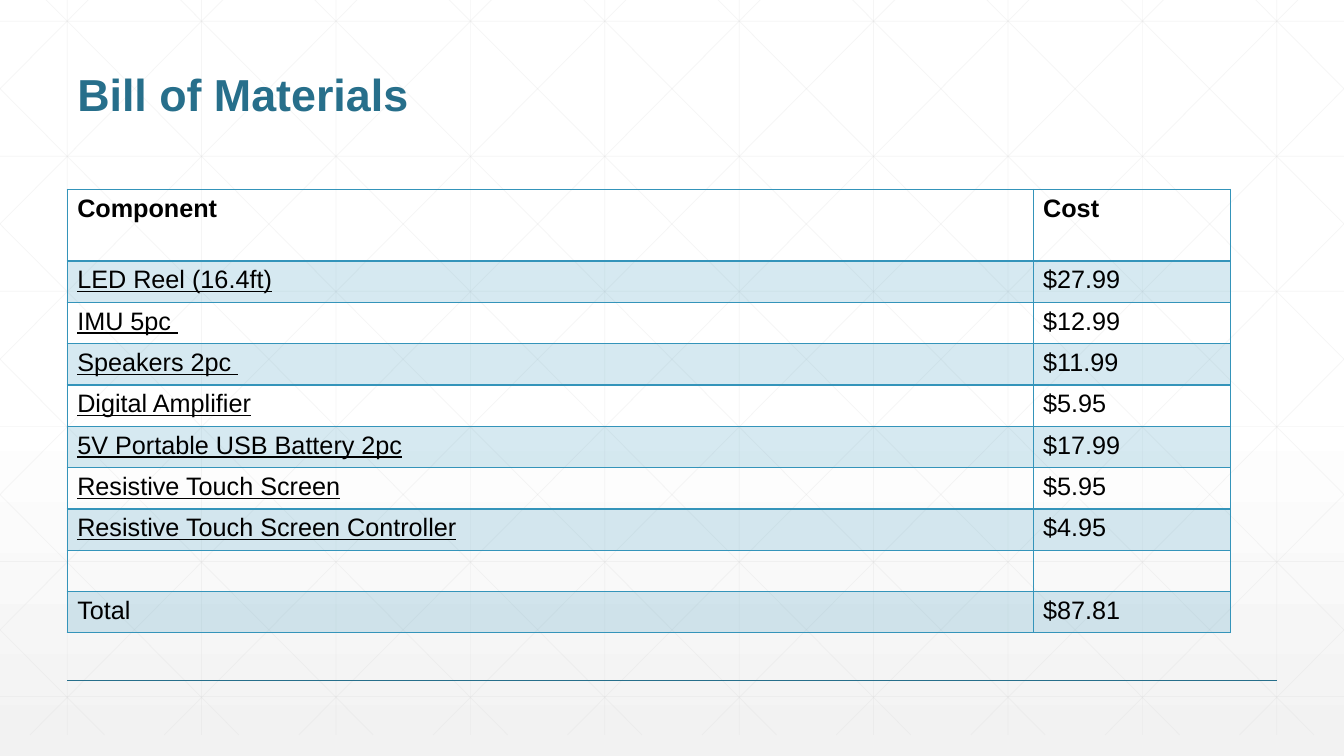
from typing import NamedTuple

from lxml import etree
from pptx import Presentation
from pptx.dml.color import RGBColor
from pptx.enum.shapes import MSO_CONNECTOR
from pptx.enum.text import MSO_ANCHOR, PP_ALIGN
from pptx.oxml.ns import qn
from pptx.util import Inches, Pt

STRAIGHT = MSO_CONNECTOR.STRAIGHT
BOTTOM = MSO_ANCHOR.BOTTOM
LEFT = PP_ALIGN.LEFT

WIDTH, HEIGHT = 13.33, 7.5
COLUMN = WIDTH / 20  # margins are one column wide
PITCH = 2 * COLUMN
ROW_PITCH = 1.34
GRID_TOP, GRID_BOTTOM = -0.21, 7.29
DIAGONAL_START, DIAGONAL_RUN = 0.25, 7.45

FONT = "Arial"
WHITE, PALE_GRAY, GRID_GRAY = "FFFFFF", "F2F2F2", "D9D9D9"
BLACK, DARK_BLUE, BLUE = "000000", "276F8B", "3494BA"
BAND_OPACITY, GRID_OPACITY = 20, 25

TABLE_TOP = 1.88
COLUMN_WIDTHS = (9.58, 1.96)
HEADER_HEIGHT, ROW_HEIGHT = 0.71, 0.41


class Item(NamedTuple):
    component: str
    cost: str
    underlined: bool = False
    header: bool = False


class Segment(NamedTuple):
    x1: float
    y1: float
    x2: float
    y2: float


ITEMS = [
    Item("Component", "Cost", header=True),
    Item("LED Reel (16.4ft)", "$27.99", underlined=True),
    Item("IMU 5pc ", "$12.99", underlined=True),
    Item("Speakers 2pc ", "$11.99", underlined=True),
    Item("Digital Amplifier", "$5.95", underlined=True),
    Item("5V Portable USB Battery 2pc", "$17.99", underlined=True),
    Item("Resistive Touch Screen", "$5.95", underlined=True),
    Item("Resistive Touch Screen Controller", "$4.95", underlined=True),
    Item("", ""),
    Item("Total", "$87.81"),
]


def color(hex_value: str) -> RGBColor:
    return RGBColor.from_string(hex_value)


def set_opacity(properties, percent: int) -> None:
    """Make the first solid colour found below the element translucent."""
    solid = next(properties.iter(qn("a:srgbClr")))
    etree.SubElement(solid, qn("a:alpha"), val=str(percent * 1000))


def add_line(shapes, segment: Segment, hex_value: str, width: float):
    line = shapes.add_connector(STRAIGHT, *(Inches(value) for value in segment))
    line.line.color.rgb = color(hex_value)
    line.line.width = Pt(width)
    etree.SubElement(line.element.spPr, qn("a:effectLst"))
    return line


def diagonal(start: float) -> Segment:
    """Falling grid line, cut off at the slide's left and right edges."""
    slope = (GRID_BOTTOM - GRID_TOP) / DIAGONAL_RUN
    left, right = max(start, 0), min(start + DIAGONAL_RUN, WIDTH)
    return Segment(left, GRID_TOP + (left - start) * slope,
                   right, GRID_TOP + (right - start) * slope)


def grid_segments() -> list[Segment]:
    verticals = [Segment(x, GRID_TOP, x, GRID_BOTTOM)
                 for x in (COLUMN + PITCH * step for step in range(10))]
    horizontals = [Segment(0, y, WIDTH, y)
                   for y in (0.21 + ROW_PITCH * step for step in range(6))]
    falling = [diagonal(DIAGONAL_START + PITCH * step) for step in range(-5, 10)]
    rising = [Segment(WIDTH - x1, y1, WIDTH - x2, y2) for x1, y1, x2, y2 in falling]
    return verticals + horizontals + falling + rising


def add_background(slide) -> None:
    fill = slide.background.fill
    fill.gradient()
    fill.gradient_angle = 270
    for stop, position, hex_value in zip(fill.gradient_stops, (0.53, 1), (WHITE, PALE_GRAY)):
        stop.position = position
        stop.color.rgb = color(hex_value)
    grid = slide.shapes.add_group_shape()
    for segment in grid_segments():
        line = add_line(grid.shapes, segment, GRID_GRAY, 0.5)
        set_opacity(line.element.spPr, GRID_OPACITY)


def set_font(paragraph, size: float, hex_value: str, bold: bool) -> None:
    paragraph.font.name = FONT
    paragraph.font.size = Pt(size)
    paragraph.font.bold = bold
    paragraph.font.color.rgb = color(hex_value)


def add_title(slide, text: str) -> None:
    title = slide.shapes.title
    title.left, title.top = Inches(COLUMN), Inches(0.25)
    title.width, title.height = Inches(18 * COLUMN), Inches(1)
    title.text_frame.text = text
    title.text_frame.vertical_anchor = BOTTOM
    paragraph = title.text_frame.paragraphs[0]
    paragraph.alignment = LEFT
    paragraph.line_spacing = 0.9
    set_font(paragraph, 32, DARK_BLUE, True)
    title.element.getparent().append(title.element)  # in front of the grid


def set_borders(cell, bottom_width: float) -> None:
    properties = cell._tc.get_or_add_tcPr()
    widths = {"a:lnL": 1, "a:lnR": 1, "a:lnT": 1, "a:lnB": bottom_width}
    for index, (tag, width) in enumerate(widths.items()):
        border = etree.Element(qn(tag), w=str(Pt(width)))
        solid = etree.SubElement(border, qn("a:solidFill"))
        etree.SubElement(solid, qn("a:srgbClr"), val=BLUE)
        properties.insert(index, border)


def format_cell(cell, text: str, item: Item, banded: bool) -> None:
    cell.text = text
    paragraph = cell.text_frame.paragraphs[0]
    set_font(paragraph, 18, BLACK, item.header)
    if banded:
        cell.fill.solid()
        cell.fill.fore_color.rgb = color(BLUE)
        set_opacity(cell._tc.tcPr, BAND_OPACITY)
    else:
        cell.fill.background()
    set_borders(cell, 2 if item.header else 1)


def add_cost_table(slide) -> None:
    heights = [HEADER_HEIGHT if item.header else ROW_HEIGHT for item in ITEMS]
    table = slide.shapes.add_table(
        len(ITEMS), len(COLUMN_WIDTHS), Inches(COLUMN), Inches(TABLE_TOP),
        Inches(sum(COLUMN_WIDTHS)), Inches(sum(heights))).table
    table.first_row = table.horz_banding = False
    for column, width in zip(table.columns, COLUMN_WIDTHS):
        column.width = Inches(width)
    for index, (item, height) in enumerate(zip(ITEMS, heights)):
        table.rows[index].height = Inches(height)
        component, cost = table.rows[index].cells
        format_cell(component, item.component, item, index % 2 == 1)
        format_cell(cost, item.cost, item, index % 2 == 1)
        component.text_frame.paragraphs[0].font.underline = item.underlined


def main() -> None:
    presentation = Presentation()
    presentation.slide_width = Inches(WIDTH)
    presentation.slide_height = Inches(HEIGHT)
    title_only = presentation.slide_layouts[5]
    slide = presentation.slides.add_slide(title_only)
    add_background(slide)
    footer_y = 0.9 * HEIGHT
    add_line(slide.shapes, Segment(COLUMN, footer_y, WIDTH - COLUMN, footer_y), DARK_BLUE, 1)
    add_title(slide, "Bill of Materials")
    add_cost_table(slide)
    presentation.save("out.pptx")


if __name__ == "__main__":
    main()
